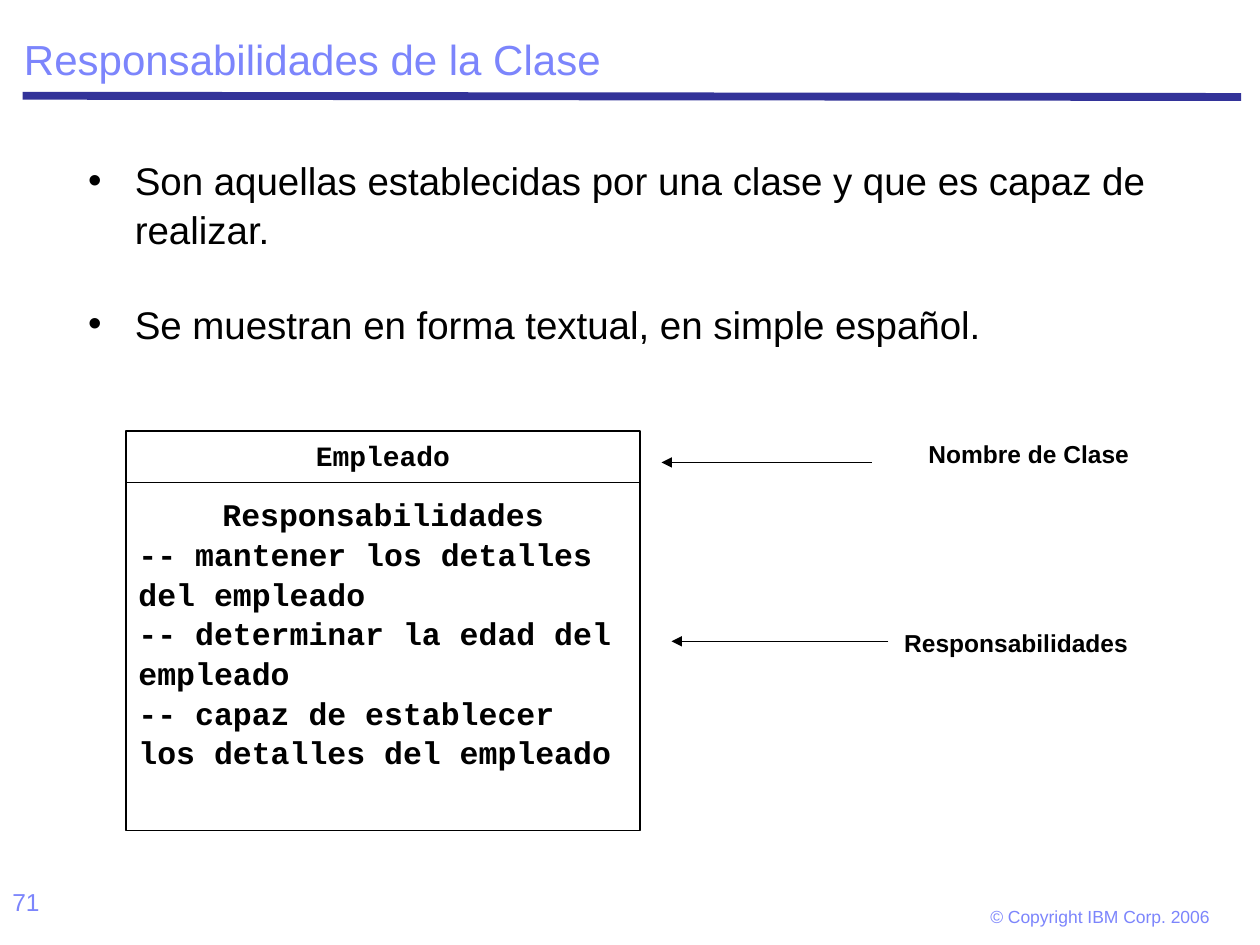
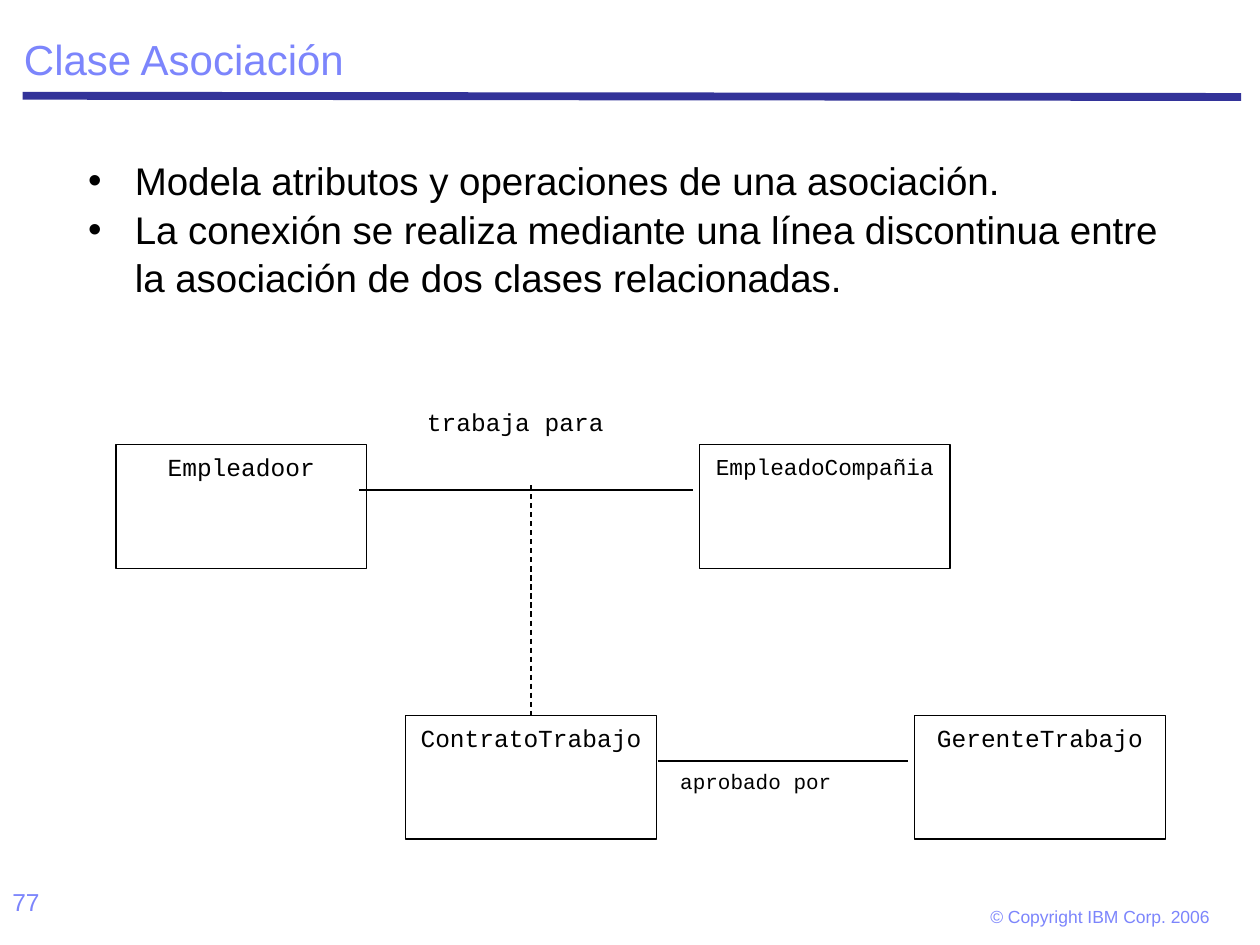
from lxml import etree
from pptx import Presentation
from pptx.dml.color import RGBColor
from pptx.enum.dml import MSO_LINE
from pptx.enum.shapes import MSO_CONNECTOR, MSO_SHAPE
from pptx.enum.text import MSO_ANCHOR, MSO_AUTO_SIZE, PP_ALIGN
from pptx.oxml.ns import qn
from pptx.util import Inches, Pt

STRAIGHT = MSO_CONNECTOR.STRAIGHT
RECTANGLE = MSO_SHAPE.RECTANGLE
DASH = MSO_LINE.DASH
TOP, BOTTOM = MSO_ANCHOR.TOP, MSO_ANCHOR.BOTTOM
NO_FIT = MSO_AUTO_SIZE.NONE
LEFT, CENTER = PP_ALIGN.LEFT, PP_ALIGN.CENTER
TOP_SIDE = 0

SANS, MONO = "Arial", "Courier New"
BLACK, WHITE, NAVY, LAVENDER = "000000", "FFFFFF", "333399", "7C85FC"
BULLET_INDENT = Inches(0.37)


def color(hex_string):
    return RGBColor.from_string(hex_string)


class Deck:
    def __init__(self):
        self.prs = Presentation()
        self.prs.slide_width = Inches(10)
        self.prs.slide_height = Inches(7.5)
        self.slide = None

    def add_slide(self, title, number):
        self.slide = self.prs.slides.add_slide(self.prs.slide_layouts[1])
        self.line(0.18, 0.76, 9.85, 0.77, ink=NAVY, width=4.5)
        self.label("© Copyright IBM Corp. 2006", 7.71, 7.11, 2.04, 0.32, 10,
                   ink=LAVENDER, insets=(0.15, 0.07, 0.1, 0.07))
        self.label(str(number), 0, 6.98, 2.33, 0.52, 14, ink=LAVENDER)
        heading = self.slide.shapes.title
        self.place(heading, 0.09, 0.09, 9.8, 0.63)
        self.fill_text(heading, [title], 24, ink=LAVENDER, anchor=BOTTOM, spacing=0.9)

    def place(self, shape, left, top, width, height):
        shape.left, shape.top = Inches(left), Inches(top)
        shape.width, shape.height = Inches(width), Inches(height)

    def fill_text(self, shape, lines, size, font=SANS, ink=BLACK, bold=False,
                  align=LEFT, anchor=TOP, spacing=1.05, insets=(0.1, 0.05, 0.1, 0.05)):
        frame = shape.text_frame
        frame.text = "\n".join(lines)
        frame.word_wrap = True
        frame.auto_size = NO_FIT
        frame.vertical_anchor = anchor
        (frame.margin_left, frame.margin_top,
         frame.margin_right, frame.margin_bottom) = map(Inches, insets)
        for paragraph in frame.paragraphs:
            paragraph.alignment = align
            paragraph.line_spacing = spacing
            paragraph.space_before = Pt(0)
            for run in paragraph.runs:
                run.font.size = Pt(size)
                run.font.name = font
                run.font.bold = bold
                run.font.color.rgb = color(ink)
        return frame.paragraphs

    def bullets(self, items, gap=0):
        body = self.slide.placeholders[1]
        self.place(body, 0.6, 1.18, 8.8, 5.38)
        for position, paragraph in enumerate(self.fill_text(body, items, 22)):
            paragraph.space_before = Pt(gap if position else 0)
            properties = paragraph._p.get_or_add_pPr()
            properties.set("marL", str(BULLET_INDENT))
            properties.set("indent", str(-BULLET_INDENT))
            etree.SubElement(properties, qn("a:buChar")).set("char", "•")

    def label(self, text, left, top, width, height, size, **style):
        box = self.slide.shapes.add_textbox(*map(Inches, (left, top, width, height)))
        self.fill_text(box, [text], size, **style)
        return box

    def caption(self, text, left, top, width, height):
        box = self.label(text, left, top, width, height, 14, bold=True, align=CENTER)
        box.fill.solid()
        box.fill.fore_color.rgb = color(WHITE)

    def class_box(self, lines, left, top, width, height, size, bold=False):
        box = self.slide.shapes.add_shape(
            RECTANGLE, *map(Inches, (left, top, width, height)))
        box.shadow.inherit = False
        box.fill.background()
        box.line.color.rgb = color(BLACK)
        box.line.width = Pt(0.75)
        self.fill_text(box, lines, size, MONO, bold=bold, align=CENTER)
        return box

    def line(self, x1, y1, x2, y2, ink=BLACK, width=0.75, arrow=False):
        connector = self.slide.shapes.add_connector(
            STRAIGHT, *map(Inches, (x1, y1, x2, y2)))
        connector.line.color.rgb = color(ink)
        connector.line.width = Pt(width)
        properties = connector._element.spPr
        if arrow:
            outline = properties.find(qn("a:ln"))
            etree.SubElement(outline, qn("a:tailEnd")).set("type", "triangle")
        etree.SubElement(properties, qn("a:effectLst"))
        return connector


def add_responsibilities(deck):
    deck.add_slide("Responsabilidades de la Clase", 71)
    deck.bullets([
        "Son aquellas establecidas por una clase y que es capaz de realizar.",
        "Se muestran en forma textual, en simple español.",
    ], gap=26.5)

    employee = deck.class_box([
        "Empleado",
        "Responsabilidades",
        "-- mantener los detalles del empleado",
        "-- determinar la edad del empleado",
        "-- capaz de establecer los detalles del empleado",
    ], 1, 3.42, 4.08, 3.17, 18, bold=True)
    class_name, heading, *duties = employee.text_frame.paragraphs
    class_name.runs[0].font.size = Pt(16)
    heading.space_before = Pt(12)
    for duty in duties:
        duty.alignment = LEFT
    deck.line(1, 3.83, 5.08, 3.83)

    deck.caption("Nombre de Clase", 7.08, 3.42, 2.17, 0.42)
    deck.line(6.92, 3.67, 5.25, 3.67, arrow=True)
    deck.caption("Responsabilidades", 6.96, 4.92, 2.21, 0.33)
    deck.line(7.05, 5.09, 5.33, 5.09, arrow=True)


def add_association_class(deck):
    deck.add_slide("Clase Asociación", 77)
    deck.bullets([
        "Modela atributos y operaciones de una asociación.",
        "La conexión se realiza mediante una línea discontinua entre "
        "la asociación de dos clases relacionadas.",
    ])

    width, height = 1.99, 0.98
    upper, lower = 3.53, 5.68
    contract_left = 3.22
    deck.class_box(["Empleadoor"], 0.92, upper, width, height, 14)
    deck.class_box(["EmpleadoCompañia"], 5.55, upper, width, height, 13)
    contract = deck.class_box(["ContratoTrabajo"], contract_left, lower, width, height, 14)
    deck.class_box(["GerenteTrabajo"], 7.26, lower, width, height, 14)

    deck.line(2.85, 3.89, 5.5, 3.89)
    deck.line(5.22, 6.04, 7.21, 6.04)
    contract_middle = contract_left + width / 2
    association = deck.line(contract_middle, 3.85, contract_middle, lower)
    association.line.dash_style = DASH
    association.end_connect(contract, TOP_SIDE)

    deck.label("trabaja para", 3.29, 3.17, width, 0.72, 14, font=MONO)
    deck.label("aprobado por", 5.3, 6.04, width, 0.72, 12, font=MONO)


def main():
    deck = Deck()
    add_responsibilities(deck)
    add_association_class(deck)
    deck.prs.save("out.pptx")


if __name__ == "__main__":
    main()
